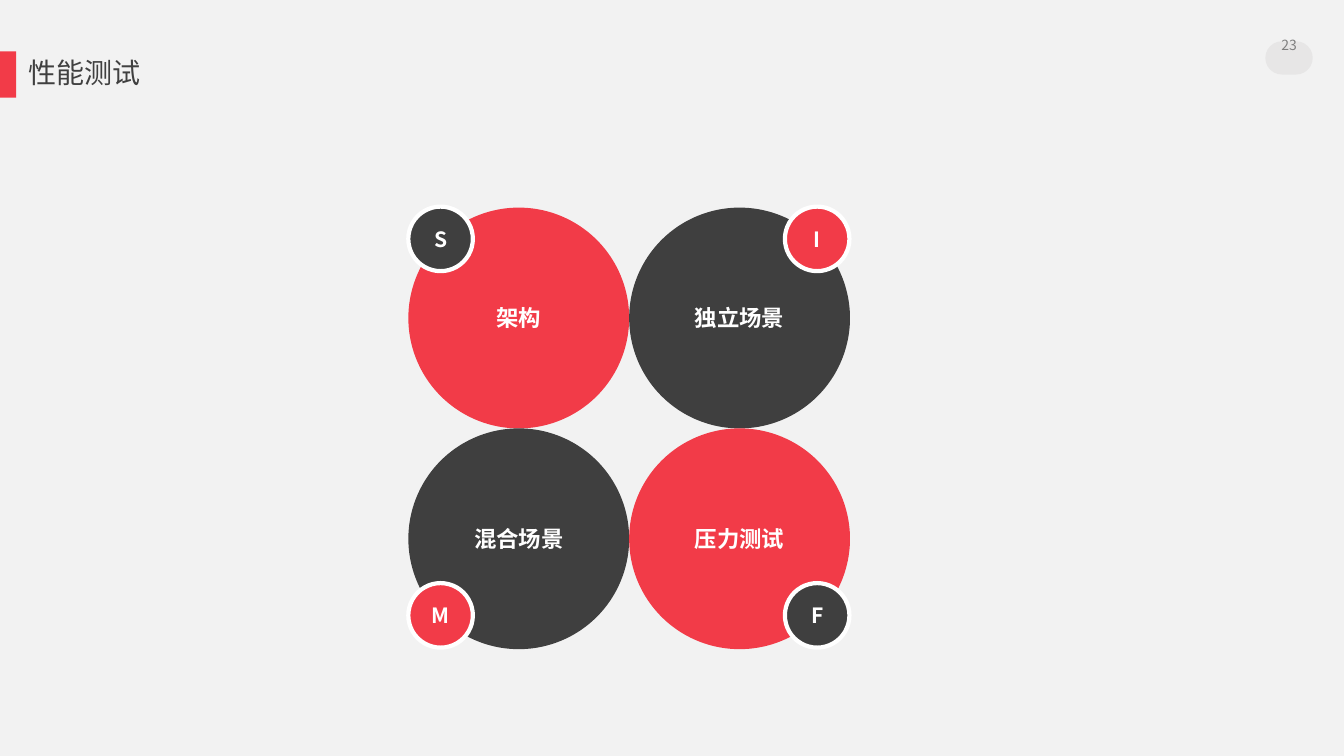
from lxml import etree
from pptx import Presentation
from pptx.dml.color import RGBColor
from pptx.enum.shapes import MSO_SHAPE
from pptx.enum.text import MSO_ANCHOR, MSO_AUTO_SIZE, PP_ALIGN
from pptx.oxml.ns import qn
from pptx.util import Inches, Pt

OVAL, ROUNDED = MSO_SHAPE.OVAL, MSO_SHAPE.ROUNDED_RECTANGLE
RECTANGLE = MSO_SHAPE.RECTANGLE
LEFT, CENTER = PP_ALIGN.LEFT, PP_ALIGN.CENTER
TOP, MIDDLE = MSO_ANCHOR.TOP, MSO_ANCHOR.MIDDLE
FIXED = MSO_AUTO_SIZE.NONE

# Content: label, badge letter, column, row
TITLE = "性能测试"
PAGE = "23"
SCENARIOS = [
    ("架构", "S", 0, 0),
    ("独立场景", "I", 1, 0),
    ("混合场景", "M", 0, 1),
    ("压力测试", "F", 1, 1),
]

FONT = "Noto Sans CJK SC"
RED, DARK, WHITE = "F23B48", "3F3F3F", "FFFFFF"
BACKGROUND, PILL, PAGE_GRAY, TITLE_GRAY = "F2F2F2", "E7E6E6", "808080", "404040"

# Grid in inches
GRID_LEFT, GRID_TOP, CIRCLE = 4.05, 2.06, 2.19
BADGE_TOP, BADGE, BADGE_STEP = 2.05, 0.64, 3.735


def color(hex_code):
    return RGBColor.from_string(hex_code)


def write(shape, text, size, ink, bold=False, align=CENTER, anchor=MIDDLE, spacing=None):
    frame = shape.text_frame
    frame.word_wrap = True
    frame.auto_size = FIXED
    frame.vertical_anchor = anchor
    frame.margin_left = frame.margin_right = frame.margin_top = frame.margin_bottom = 0
    paragraph = frame.paragraphs[0]
    paragraph.alignment = align
    if spacing:
        paragraph.line_spacing = spacing
    run = paragraph.add_run()
    run.text = text
    run.font.size, run.font.bold, run.font.name = Pt(size), bold, FONT
    run.font.color.rgb = color(ink)
    etree.SubElement(run.font._element, qn("a:ea")).set("typeface", FONT)


def add_solid(kind, left, top, width, height, fill, outline=None):
    shape = slide.shapes.add_shape(
        kind, Inches(left), Inches(top), Inches(width), Inches(height))
    shape.shadow.inherit = False
    shape.fill.solid()
    shape.fill.fore_color.rgb = color(fill)
    if outline:
        shape.line.color.rgb = color(outline)
        shape.line.width = Pt(3)
    else:
        shape.line.fill.background()
    return shape


deck = Presentation()
deck.slide_width, deck.slide_height = Inches(13.33), Inches(7.5)
slide = deck.slides.add_slide(deck.slide_layouts[5])
slide.background.fill.solid()
slide.background.fill.fore_color.rgb = color(BACKGROUND)

# Title with its accent bar
add_solid(RECTANGLE, 0, 0.51, 0.16, 0.46, RED)
title = slide.shapes.title
title.left, title.top = Inches(0.28), Inches(0.51)
title.width, title.height = Inches(4.17), Inches(0.46)
write(title, TITLE, 20, TITLE_GRAY, align=LEFT, spacing=0.9)

# Page number on its pill
pill = add_solid(ROUNDED, 12.55, 0.41, 0.47, 0.33, PILL)
pill.adjustments[0] = 0.5
page = slide.shapes.add_textbox(Inches(12.55), Inches(0.36), Inches(0.47), Inches(0.43))
write(page, PAGE, 10, PAGE_GRAY, anchor=TOP)

# Large circles, in alternating colours
for label, letter, column, row in SCENARIOS:
    circle = add_solid(OVAL, GRID_LEFT + column * CIRCLE, GRID_TOP + row * CIRCLE,
                       CIRCLE, CIRCLE, (RED, DARK)[(column + row) % 2])
    write(circle, label, 16, WHITE, bold=True)

# Letter badges at the outer corners, in the opposite colour
for label, letter, column, row in SCENARIOS:
    badge = add_solid(OVAL, GRID_LEFT + column * BADGE_STEP, BADGE_TOP + row * BADGE_STEP,
                      BADGE, BADGE, (DARK, RED)[(column + row) % 2], outline=WHITE)
    write(badge, letter, 15, WHITE, bold=True)

deck.save("out.pptx")
